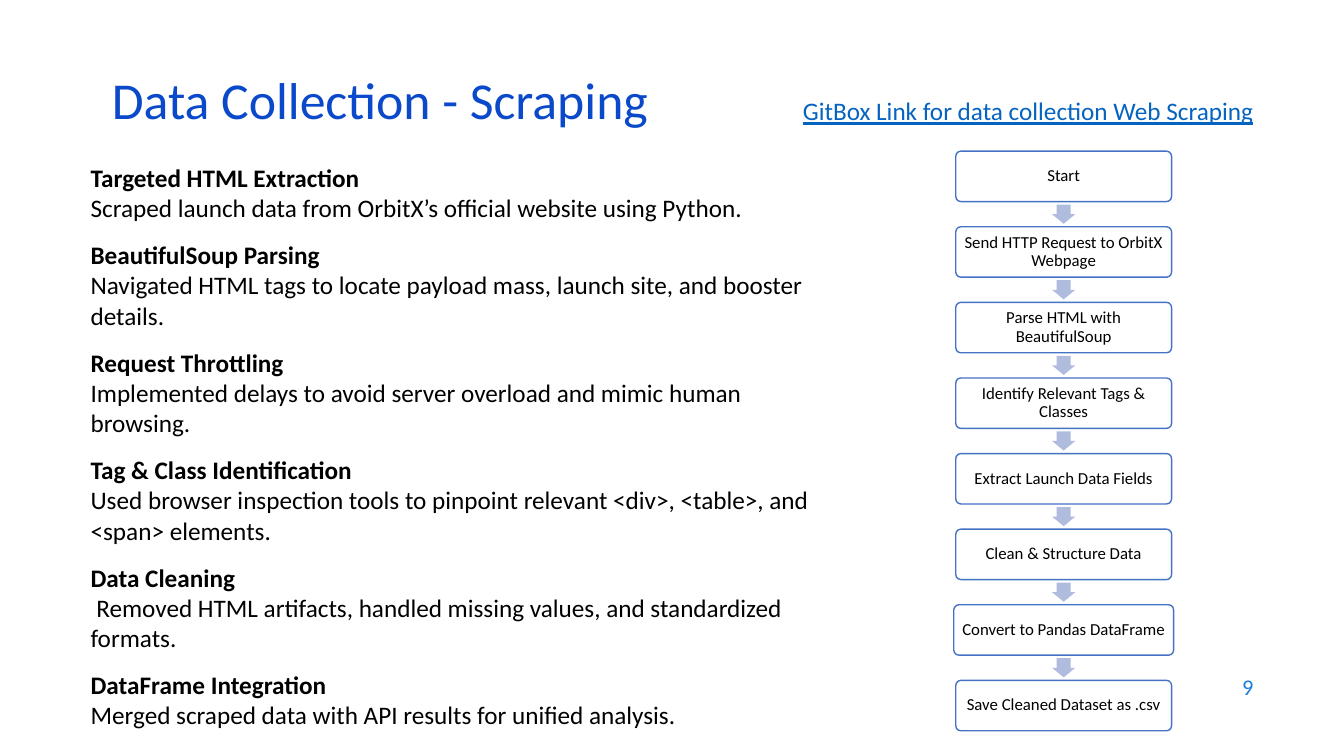
import pptx
import pptx.dml.color
import pptx.enum.shapes
import pptx.enum.text
import pptx.util
from pptx.dml.color import RGBColor
from pptx.enum.shapes import MSO_SHAPE
from pptx.enum.text import MSO_ANCHOR, MSO_AUTO_SIZE, PP_ALIGN
from pptx.util import Inches

FONT = "Calibri"
TITLE_BLUE = RGBColor(0x0B, 0x49, 0xCB)
NUMBER_BLUE = RGBColor(0x1C, 0x7D, 0xDB)
LINK_BLUE = RGBColor(0x05, 0x63, 0xC1)
STEP_LINE = RGBColor(0x44, 0x72, 0xC4)
ARROW_FILL = RGBColor(0xB0, 0xBC, 0xDE)
BLACK = RGBColor(0, 0, 0)
WHITE = RGBColor(0xFF, 0xFF, 0xFF)

PRACTICES = [
    ("Targeted HTML Extraction",
     "Scraped launch data from OrbitX’s official website using Python."),
    ("BeautifulSoup Parsing",
     "Navigated HTML tags to locate payload mass, launch site, and booster details."),
    ("Request Throttling",
     "Implemented delays to avoid server overload and mimic human browsing."),
    ("Tag & Class Identification",
     "Used browser inspection tools to pinpoint relevant <div>, <table>, and <span> elements."),
    ("Data Cleaning",
     " Removed HTML artifacts, handled missing values, and standardized formats."),
    ("DataFrame Integration",
     "Merged scraped data with API results for unified analysis."),
]
STEPS = [
    "Start",
    "Send HTTP Request to OrbitX Webpage",
    "Parse HTML with BeautifulSoup",
    "Identify Relevant Tags & Classes",
    "Extract Launch Data Fields",
    "Clean & Structure Data",
    "Convert to Pandas DataFrame",
    "Save Cleaned Dataset as .csv",
]
WIDE_STEP = "Convert to Pandas DataFrame"


def add_run(paragraph, text, size, color, bold=False, underline=False):
    run = paragraph.add_run()
    run.text = text
    run.font.name = FONT
    run.font.size = pptx.util.Pt(size)
    run.font.color.rgb = color
    run.font.bold = bold
    run.font.underline = underline


def add_text_frame(slide, left, top, width, height, anchor=MSO_ANCHOR.TOP):
    frame = slide.shapes.add_textbox(
        Inches(left), Inches(top), Inches(width), Inches(height)).text_frame
    frame.word_wrap = True
    frame.vertical_anchor = anchor
    return frame


def place_title(slide, left, top, width, height):
    title = slide.shapes.title
    title.left, title.top = Inches(left), Inches(top)
    title.width, title.height = Inches(width), Inches(height)
    frame = title.text_frame
    frame.auto_size = MSO_AUTO_SIZE.NONE
    frame.vertical_anchor = MSO_ANCHOR.MIDDLE
    heading = frame.paragraphs[0]
    heading.alignment = PP_ALIGN.LEFT
    heading.line_spacing = 0.7
    add_run(heading, "Data Collection - Scraping", 37, TITLE_BLUE)


def add_practices(slide, left, top, width, height):
    frame = add_text_frame(slide, left, top, width, height)
    for index, (name, detail) in enumerate(PRACTICES):
        heading = frame.add_paragraph() if index else frame.paragraphs[0]
        if index:
            heading.space_before = pptx.util.Pt(12)
        add_run(heading, name, 18, BLACK, bold=True)
        add_run(frame.add_paragraph(), detail, 18, BLACK)


def add_right_aligned(slide, box, text, size, color, anchor, underline=False):
    paragraph = add_text_frame(slide, *box, anchor).paragraphs[0]
    paragraph.alignment = PP_ALIGN.RIGHT
    add_run(paragraph, text, size, color, underline=underline)


def add_block(slide, preset, center, top, width, height, fill):
    """Add a filled preset shape centred horizontally on the given position."""
    block = slide.shapes.add_shape(
        preset, Inches(center - width / 2), Inches(top), Inches(width), Inches(height))
    block.shadow.inherit = False
    block.fill.solid()
    block.fill.fore_color.rgb = fill
    return block


def add_step(slide, text, center, top, width, height):
    step = add_block(slide, MSO_SHAPE.ROUNDED_RECTANGLE, center, top, width, height, WHITE)
    step.adjustments[0] = 0.1
    step.line.color.rgb = STEP_LINE
    step.line.width = pptx.util.Pt(1)
    frame = step.text_frame
    frame.word_wrap = True
    frame.vertical_anchor = MSO_ANCHOR.MIDDLE
    frame.margin_left = frame.margin_right = Inches(0.06)
    frame.margin_top = frame.margin_bottom = Inches(0.06)
    label = frame.paragraphs[0]
    label.alignment = PP_ALIGN.CENTER
    label.line_spacing = 0.9
    add_run(label, text, 12, BLACK)


def add_flow(slide, left, top, width, height):
    """Stack the steps in the box, with gaps half a step high holding the arrows."""
    step_height = height / (1.5 * len(STEPS) - 0.5)
    gap = step_height / 2
    arrow_width, arrow_height = 0.23, 0.19
    center = left + width / 2
    for index, text in enumerate(STEPS):
        step_top = top + index * (step_height + gap)
        step_width = width + 0.04 if text == WIDE_STEP else width
        add_step(slide, text, center, step_top, step_width, step_height)
        if index < len(STEPS) - 1:
            arrow_top = step_top + step_height + (gap - arrow_height) / 2
            arrow = add_block(slide, MSO_SHAPE.DOWN_ARROW, center, arrow_top,
                              arrow_width, arrow_height, ARROW_FILL)
            arrow.adjustments[0] = 0.6
            arrow.adjustments[1] = 0.5
            arrow.line.fill.background()


def main():
    deck = pptx.Presentation()
    deck.slide_width, deck.slide_height = Inches(13.33), Inches(7.5)
    slide = deck.slides.add_slide(deck.slide_layouts[5])
    place_title(slide, 1.01, 0.76, 11.5, 0.6)
    add_practices(slide, 0.8, 1.56, 7.69, 5.79)
    add_right_aligned(slide, (7.32, 0.9, 5.21, 0.4),
                      "GitBox Link for data collection Web Scraping",
                      18, LINK_BLUE, MSO_ANCHOR.TOP, underline=True)
    add_right_aligned(slide, (9.53, 6.59, 3, 0.44), "9", 16, NUMBER_BLUE, MSO_ANCHOR.MIDDLE)
    add_flow(slide, 9.48, 1.5, 2.14, 5.75)
    deck.save("out.pptx")


if __name__ == "__main__":
    main()
